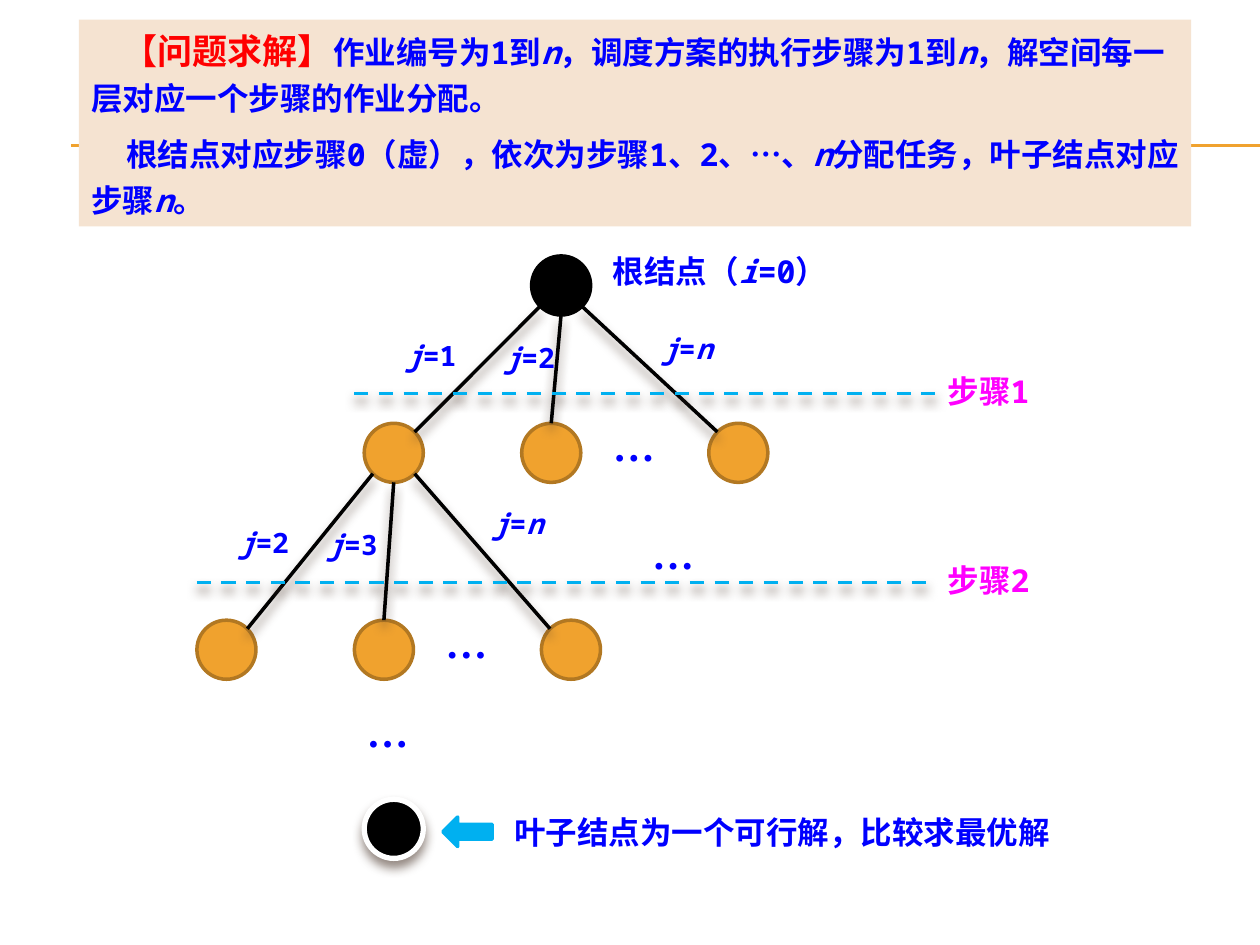
from dataclasses import dataclass
from math import sqrt

from lxml.etree import SubElement
from pptx import Presentation
from pptx.dml.color import RGBColor
from pptx.enum.dml import MSO_LINE
from pptx.enum.shapes import MSO_CONNECTOR, MSO_SHAPE
from pptx.enum.text import MSO_ANCHOR, PP_ALIGN
from pptx.oxml.ns import qn
from pptx.util import Inches, Pt


@dataclass(frozen=True)
class Theme:
    blue: str = "0000FF"
    red: str = "FF0000"
    magenta: str = "FF00FF"
    sky: str = "00B0F0"
    orange: str = "F0A22E"
    brown: str = "B27822"
    sand: str = "F5E3D1"
    black: str = "000000"
    white: str = "FFFFFF"
    shade: str = "4E3B30"
    mono: str = "Noto Sans Mono"
    cjk: str = "Noto Sans CJK SC"
    serif: str = "Times New Roman"
    heading: int = 20
    body: int = 18
    label: int = 16
    dots: int = 24


THEME = Theme()
COLUMNS, ROWS = 64, 48
RADIUS = 1.5
DIAGONAL = RADIUS / sqrt(2)


def write(paragraph, text, *, size=THEME.body, color=THEME.blue,
          font=THEME.mono, east_asian=THEME.cjk):
    """Add bold runs; parts between asterisks are italic."""
    for position, part in enumerate(text.split("*")):
        if not part:
            continue
        run = paragraph.add_run()
        run.text = part
        run.font.size = Pt(size)
        run.font.name = font
        run.font.bold = True
        run.font.italic = position % 2 == 1
        run.font.color.rgb = RGBColor.from_string(color)
        SubElement(run.font._element, qn("a:ea"), typeface=east_asian)


def cast_shadow(effects):
    shadow = SubElement(effects, qn("a:outerShdw"), blurRad=str(Pt(6)),
                        dist=str(Pt(4)), dir="5400000", rotWithShape="0")
    shade = SubElement(shadow, qn("a:srgbClr"), val=THEME.shade)
    SubElement(shade, qn("a:alpha"), val="60000")


class TreeSlide:
    """Draws on one slide; all places are columns and rows of a square grid."""

    def __init__(self, deck, theme):
        self.theme = theme
        self.shapes = deck.slides.add_slide(deck.slide_layouts[6]).shapes
        self.column = deck.slide_width / COLUMNS
        self.row = deck.slide_height / ROWS

    def place(self, *lengths):
        """Turn alternating columns and rows into slide lengths."""
        return [round(length * (self.row if i % 2 else self.column))
                for i, length in enumerate(lengths)]

    def shape(self, kind, box, fill, outline=None, width=2, shadow=False):
        shape = self.shapes.add_shape(kind, *self.place(*box))
        shape.shadow.inherit = False
        shape.fill.solid()
        shape.fill.fore_color.rgb = RGBColor.from_string(fill)
        if outline:
            shape.line.color.rgb = RGBColor.from_string(outline)
            shape.line.width = Pt(width)
        else:
            shape.line.fill.background()
        if shadow:
            cast_shadow(shape._element.spPr.find(qn("a:effectLst")))
        return shape

    def node(self, center, fill, outline, **style):
        x, y = center
        box = (x - RADIUS, y - RADIUS, 2 * RADIUS, 2 * RADIUS)
        return self.shape(MSO_SHAPE.OVAL, box, fill, outline, **style)

    def line(self, start, end, color, width=2, dashed=False, shadow=True):
        line = self.shapes.add_connector(MSO_CONNECTOR.STRAIGHT,
                                         *self.place(*start, *end))
        line.line.color.rgb = RGBColor.from_string(color)
        line.line.width = Pt(width)
        if dashed:
            line.line.dash_style = MSO_LINE.DASH
        effects = SubElement(line._element.spPr, qn("a:effectLst"))
        if shadow:
            cast_shadow(effects)

    def text(self, box, text, **style):
        frame = self.shapes.add_textbox(*self.place(*box)).text_frame
        frame.word_wrap = True
        write(frame.paragraphs[0], text, **style)

    def dots(self, x, y):
        serif = self.theme.serif
        self.text((x, y, 4, 3.2), "…", size=self.theme.dots,
                  font=serif, east_asian=serif)

    def banner(self, box, paragraphs):
        """Fill a panel with paragraphs given as (indent, gap before, runs)."""
        frame = self.shape(MSO_SHAPE.RECTANGLE, box, self.theme.sand).text_frame
        frame.word_wrap = True
        frame.vertical_anchor = MSO_ANCHOR.TOP
        for number, (indent, gap, runs) in enumerate(paragraphs):
            paragraph = frame.add_paragraph() if number else frame.paragraphs[0]
            paragraph.alignment = PP_ALIGN.LEFT
            paragraph.line_spacing = Pt(26)
            paragraph.space_before = Pt(gap)
            paragraph._p.get_or_add_pPr().set("indent", str(Inches(indent)))
            for text, style in runs:
                write(paragraph, text, **style)

    def branch(self, parent, children, labels):
        """Join a node to its left, middle and right child and label the edges."""
        theme = self.theme
        for child in children:
            self.node(child, theme.orange, theme.brown)
        x, y = parent
        for side, (child_x, child_y) in zip((-1, 0, 1), children):
            drop = DIAGONAL if side else RADIUS
            self.line((x + side * DIAGONAL, y + drop),
                      (child_x - side * DIAGONAL, child_y - drop), theme.black)
        for left, top, text in labels:
            self.text((left, top, 5, 2.4), text, size=theme.label)
        self.dots(children[1][0] + 2.5, children[1][1] - 2)

    def step(self, start, y, text):
        self.line((start, y), (47.5, y), self.theme.sky, dashed=True)
        self.text((47.5, y - 1.4, 6, 2.5), text, color=self.theme.magenta)


def main():
    deck = Presentation()
    deck.slide_width, deck.slide_height = Inches(10), Inches(7.5)
    slide = TreeSlide(deck, THEME)

    for y in (7.36, 7.42):
        slide.line((3.6, y), (COLUMNS, y), THEME.orange, width=0.75, shadow=False)
    slide.banner((4, 1, 56.5, 10.5), [
        (0.25, 0, [
            ("【问题求解】", dict(size=THEME.heading, color=THEME.red, font=THEME.cjk)),
            ("作业编号为1到*n*，调度方案的执行步骤为1到*n*，"
             "解空间每一层对应一个步骤的作业分配。", {}),
        ]),
        (0.28, 6, [
            ("根结点对应步骤0（虚），依次为步骤1、2、", {}),
            ("…", dict(font=THEME.cjk)),
            ("、*n*分配任务，叶子结点对应步骤*n*。", {}),
        ]),
    ])

    root = (28.5, 14.5)
    first_level = [(20, 23), (28, 23), (37.5, 23)]
    second_level = [(11.5, 33), (19.5, 33), (29, 33)]
    slide.node(root, THEME.black, THEME.black)
    slide.text((30.5, 12.5, 13, 2.5), "根结点（*i*=0）")
    slide.branch(root, first_level, [
        (20, 16.9, "*j*=1"), (25, 17, "*j*=2"), (33, 16.5, "*j*=*n*")])
    slide.branch(first_level[0], second_level, [
        (11.5, 26.4, "*j*=2"), (16, 26.5, "*j*=3"), (24.4, 25.4, "*j*=*n*")])
    slide.dots(32.5, 26.5)
    slide.dots(18, 35.5)
    slide.step(18, 20, "步骤1")
    slide.step(10, 29.6, "步骤2")

    slide.node((20, 42.1), THEME.black, THEME.white, width=3, shadow=True)
    slide.text((25.5, 41, 31.5, 2.5), "叶子结点为一个可行解，比较求最优解", font=THEME.cjk)
    slide.shape(MSO_SHAPE.LEFT_ARROW, (22.5, 41.5, 2.5, 1.5), THEME.sky, THEME.sky)

    deck.save("out.pptx")


if __name__ == "__main__":
    main()
